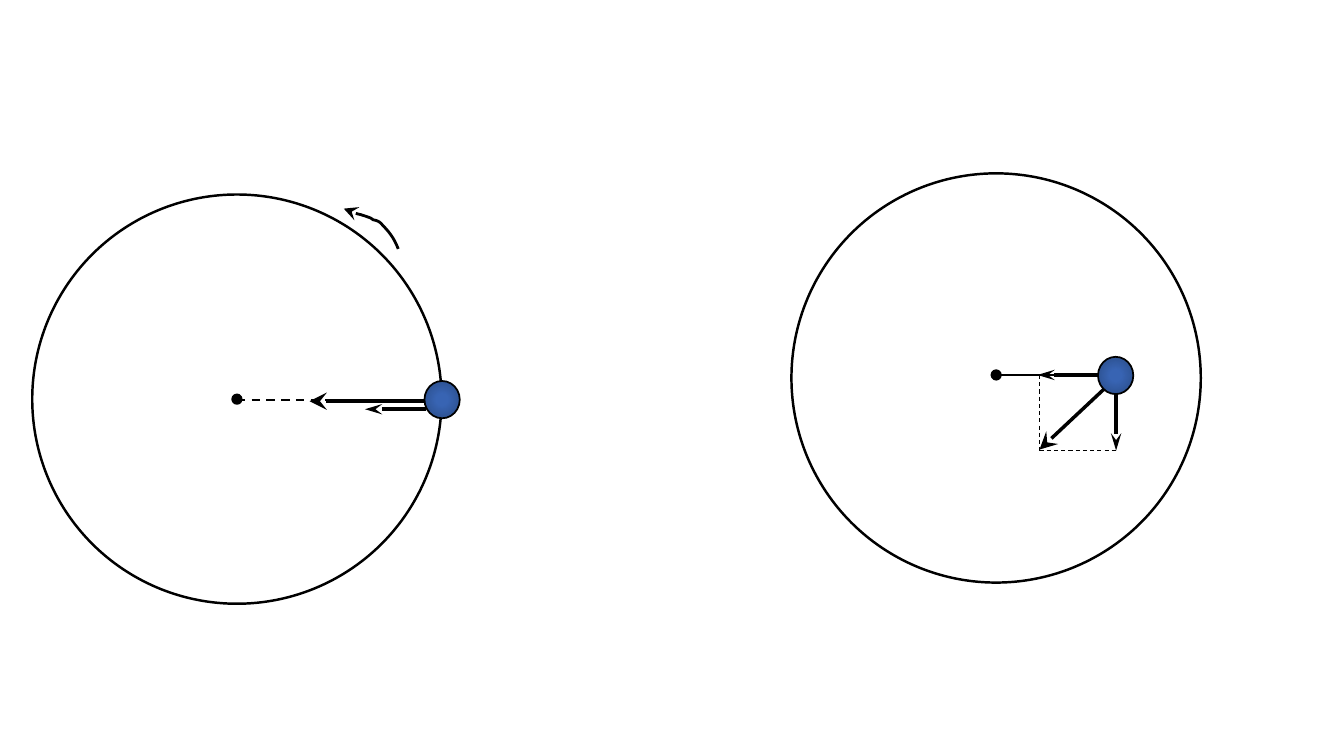
from lxml import etree
from pptx import Presentation
from pptx.dml.color import RGBColor
from pptx.enum.dml import MSO_LINE
from pptx.enum.shapes import MSO_CONNECTOR, MSO_SHAPE
from pptx.oxml import parse_xml
from pptx.oxml.ns import nsdecls, qn
from pptx.util import Inches, Pt

ELLIPSE = MSO_SHAPE.OVAL
STRAIGHT = MSO_CONNECTOR.STRAIGHT
DASH = MSO_LINE.DASH
BLACK = "000000"
BALL_STOPS = [(0, "3864B3"), (23, "3864B3"), (69, "2F5597"), (97, "2C4F8C")]

prs = Presentation()
prs.slide_width, prs.slide_height = Inches(13.33), Inches(7.5)
slide = prs.slides.add_slide(prs.slide_layouts[6])
shapes = slide.shapes


def color(hex_text):
    return RGBColor.from_string(hex_text)


def style_line(shape, weight, dash=None, head_width=None):
    shape.line.color.rgb = color(BLACK)
    shape.line.width = Pt(weight)
    if dash:
        shape.line.dash_style = dash
    if head_width:
        etree.SubElement(shape.line._get_or_add_ln(), qn("a:tailEnd"),
                         type="stealth", w=head_width, len="lg")


# Each circle: orbit left and top, center dot, ball, then its lines
# Line: x1, y1, x2, y2, weight, dash, arrowhead width, in front of the ball
circles = [
    ((0.32, 1.93), (2.31, 3.92), (4.21, 3.78), [
        (2.35, 3.97, 4.38, 3.97, 1.5, DASH, None, False),
        (4.21, 3.98, 3.07, 3.98, 2.5, None, "lg", True),
        (4.23, 4.06, 3.62, 4.06, 2.5, None, "med", True),
    ]),
    ((7.85, 1.72), (9.84, 3.68), (10.89, 3.54), [
        (10.31, 3.72, 10.31, 4.47, 0.75, DASH, None, False),
        (10.89, 3.72, 10.29, 3.72, 2.5, None, "med", True),
        (9.93, 3.72, 10.9, 3.72, 1.5, None, None, True),
        (10.95, 3.86, 10.31, 4.46, 2.5, None, "lg", True),
        (11.07, 3.91, 11.07, 4.47, 2.5, None, "med", True),
        (10.31, 4.47, 11.07, 4.47, 0.75, DASH, None, True),
    ]),
]

for orbit_at, center_at, ball_at, forces in circles:
    # Orbit
    orbit = shapes.add_shape(ELLIPSE, *map(Inches, orbit_at), Inches(4.06), Inches(4.06))
    orbit.shadow.inherit = False
    orbit.fill.background()
    style_line(orbit, 1.75)

    # Lines behind the ball, the ball and center, then lines in front
    for in_front in (False, True):
        if in_front:
            ball = shapes.add_shape(ELLIPSE, *map(Inches, ball_at), Inches(0.35), Inches(0.37))
            ball.shadow.inherit = False
            ball.fill.gradient()
            stops = "".join(f'<a:gs pos="{pos * 1000}"><a:srgbClr val="{tone}"/></a:gs>'
                            for pos, tone in BALL_STOPS)
            radial = parse_xml(
                f'<a:gradFill {nsdecls("a")} rotWithShape="1"><a:gsLst>{stops}</a:gsLst>'
                '<a:path path="circle"><a:fillToRect l="50000" t="50000" r="50000" b="50000"/>'
                '</a:path></a:gradFill>')
            ball_properties = ball._element.spPr
            ball_properties.replace(ball_properties.find(qn("a:gradFill")), radial)
            style_line(ball, 1.25)

            center = shapes.add_shape(ELLIPSE, *map(Inches, center_at), Inches(0.08), Inches(0.08))
            center.shadow.inherit = False
            center.fill.solid()
            center.fill.fore_color.rgb = color(BLACK)
            style_line(center, 2.25)

        for *ends, weight, dash, head_width, is_front in forces:
            if is_front == in_front:
                force = shapes.add_connector(STRAIGHT, *map(Inches, ends))
                style_line(force, weight, dash, head_width)
                etree.SubElement(force._element.spPr, qn("a:effectLst"))

# Rotation arrow: cubic curves sampled into short segments
rotation_start = (3.95, 2.47)
rotation_curves = [
    ((3.91, 2.36), (3.85, 2.29), (3.8, 2.24)),
    ((3.76, 2.19), (3.74, 2.19), (3.7, 2.18)),
    ((3.67, 2.16), (3.7, 2.17), (3.58, 2.13)),
    ((3.47, 2.11), (3.49, 2.07), (3.41, 2.07)),
]
steps = 8
rotation_points = []
curve_start = rotation_start
for control_1, control_2, curve_end in rotation_curves:
    for step in range(1, steps + 1):
        t = step / steps
        rotation_points.append(tuple(
            Inches((1 - t) ** 3 * a + 3 * (1 - t) ** 2 * t * b + 3 * (1 - t) * t ** 2 * c + t ** 3 * d)
            for a, b, c, d in zip(curve_start, control_1, control_2, curve_end)))
    curve_start = curve_end
rotation_builder = shapes.build_freeform(*map(Inches, rotation_start))
rotation_builder.add_line_segments(rotation_points, close=False)
rotation = rotation_builder.convert_to_shape()
rotation.shadow.inherit = False
rotation.fill.background()
style_line(rotation, 2, head_width="lg")

prs.save("out.pptx")
